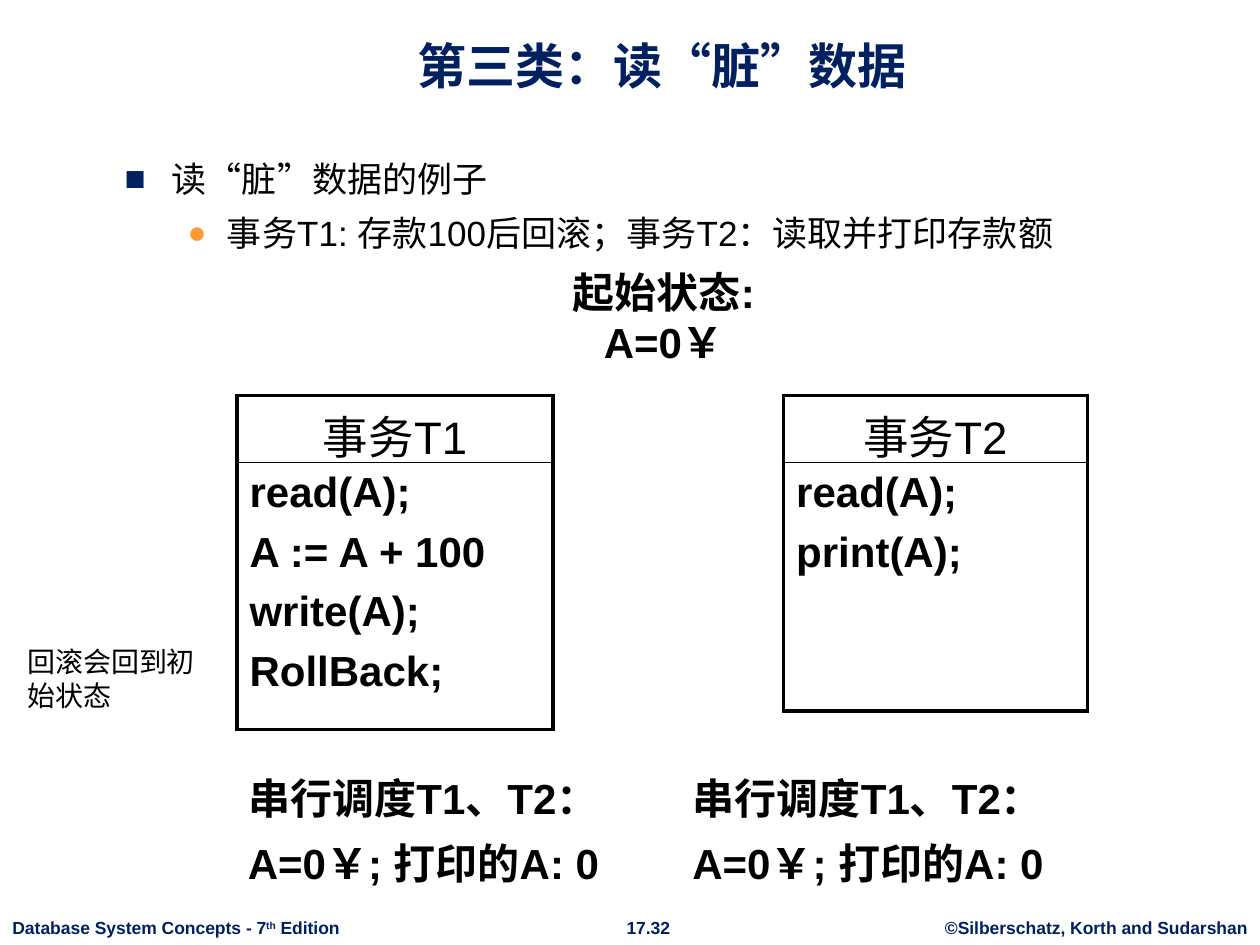
import dataclasses
import typing

import lxml.etree
import pptx
import pptx.dml.color
import pptx.enum.shapes
import pptx.enum.text
import pptx.oxml.ns
import pptx.util

Pt = pptx.util.Pt
RGB = pptx.dml.color.RGBColor
ALIGN = pptx.enum.text.PP_ALIGN
ANCHOR = pptx.enum.text.MSO_ANCHOR
qn = pptx.oxml.ns.qn


# Theme: colours and type sizes
@dataclasses.dataclass(frozen=True)
class Theme:
    font: str = "Arial"
    navy: str = "002060"
    orange: str = "FF9933"
    black: str = "000000"
    white: str = "FFFFFF"
    title: float = 28
    header: float = 26
    code: float = 24
    body: float = 20
    note: float = 16
    footer: float = 10


THEME = Theme()


@dataclasses.dataclass(frozen=True)
class Box:
    left: float
    top: float
    width: float
    height: float

    def lengths(self) -> list:
        return [Pt(v) for v in dataclasses.astuple(self)]


@dataclasses.dataclass(frozen=True)
class Style:
    size: float
    bold: bool = False
    color: str = THEME.black
    align: typing.Any = ALIGN.LEFT
    gap: float = 0


@dataclasses.dataclass(frozen=True)
class Bullet:
    char: str
    color: str
    percent: int
    left: float
    hanging: float


@dataclasses.dataclass(frozen=True)
class Transaction:
    box: Box
    name: str
    steps: list[str]


@dataclasses.dataclass(frozen=True)
class Callout:
    box: Box
    lines: list[str]
    adjustments: tuple
    gap: float = 0


def set_all(obj: typing.Any, values: dict) -> None:
    for name, value in values.items():
        setattr(obj, name, value)


def add_run(p: typing.Any, text: str, style: Style) -> typing.Any:
    r = p.add_run()
    r.text = text
    set_all(r.font, {"name": THEME.font, "size": Pt(style.size), "bold": style.bold})
    r.font.color.rgb = RGB.from_string(style.color)
    return r


def write(tf: typing.Any, lines: list[str], style: Style) -> None:
    for i, line in enumerate(lines):
        p = tf.add_paragraph() if i else tf.paragraphs[0]
        set_all(p, {"alignment": style.align, "space_before": Pt(style.gap if i else 0)})
        add_run(p, line, style)


def add_bullet(p: typing.Any, bullet: Bullet) -> None:
    pPr = p._p.get_or_add_pPr()
    pPr.set("marL", str(Pt(bullet.left)))
    pPr.set("indent", str(-Pt(bullet.hanging)))
    color = lxml.etree.SubElement(pPr, qn("a:buClr"))
    lxml.etree.SubElement(color, qn("a:srgbClr"), val=bullet.color)
    lxml.etree.SubElement(pPr, qn("a:buSzPct"), val=str(bullet.percent * 1000))
    lxml.etree.SubElement(pPr, qn("a:buFont"), typeface=THEME.font)
    lxml.etree.SubElement(pPr, qn("a:buChar"), char=bullet.char)


def place(sp: typing.Any, box: Box) -> None:
    set_all(sp, dict(zip(("left", "top", "width", "height"), box.lengths())))


def add_text(s: typing.Any, box: Box, text: str, style: Style, wrap: bool = False) -> typing.Any:
    tf = s.shapes.add_textbox(*box.lengths()).text_frame
    tf.word_wrap = wrap
    write(tf, [text], style)
    return tf.paragraphs[0]


def set_borders(cell: typing.Any, widths: dict[str, float]) -> None:
    tcPr = cell._tc.get_or_add_tcPr()
    for side, width in widths.items():
        ln = lxml.etree.SubElement(tcPr, qn(f"a:ln{side}"), w=str(Pt(width)))
        fill = lxml.etree.SubElement(ln, qn("a:solidFill"))
        lxml.etree.SubElement(fill, qn("a:srgbClr"), val=THEME.black)


def add_transaction(s: typing.Any, item: Transaction) -> None:
    table = s.shapes.add_table(2, 1, *item.box.lengths()).table
    set_all(table, {"first_row": False, "horz_banding": False})
    header_height = 38.2
    heights = (header_height, item.box.height - header_height)
    contents = (
        ([item.name], Style(THEME.header, align=ALIGN.CENTER)),
        (item.steps, Style(THEME.code, bold=True, gap=7.5)),
    )
    thick, thin = 2.25, 1
    for i, (lines, style) in enumerate(contents):
        table.rows[i].height = Pt(heights[i])
        cell = table.cell(i, 0)
        set_borders(cell, {"L": thick, "R": thick, "T": thin if i else thick, "B": thick if i else thin})
        cell.fill.background()
        write(cell.text_frame, lines, style)


def add_callout(s: typing.Any, item: Callout) -> None:
    kind = pptx.enum.shapes.MSO_SHAPE.ROUNDED_RECTANGULAR_CALLOUT
    sp = s.shapes.add_shape(kind, *item.box.lengths())
    for i, value in enumerate(item.adjustments):
        sp.adjustments[i] = value
    sp.shadow.inherit = False
    sp.fill.solid()
    sp.fill.fore_color.rgb = RGB.from_string(THEME.white)
    sp.line.fill.background()
    set_all(sp.text_frame, {"word_wrap": False, "vertical_anchor": ANCHOR.MIDDLE})
    write(sp.text_frame, item.lines, Style(THEME.code, bold=True, align=ALIGN.CENTER, gap=item.gap))


def main() -> None:
    prs = pptx.Presentation()
    set_all(prs, {"slide_width": Pt(720), "slide_height": Pt(540)})
    s = prs.slides.add_slide(prs.slide_layouts[1])
    title, body = s.placeholders

    # Footer
    footer = Style(THEME.footer, bold=True, color=THEME.navy)
    centred = dataclasses.replace(footer, align=ALIGN.CENTER)
    add_text(s, Box(532.8, 520.6, 187.2, 19.4), "©Silberschatz, Korth and Sudarshan", centred)
    add_text(s, Box(350, 520.6, 41, 19.4), "17.32", centred)
    p = add_text(s, Box(0, 520.6, 202.3, 19.4), "Database System Concepts - 7", footer)
    add_run(p, "th", footer).font._element.set("baseline", "30000")
    add_run(p, " Edition", footer)

    # Title
    place(title, Box(60.5, 9.4, 635.8, 48.2))
    title.text_frame.vertical_anchor = ANCHOR.BOTTOM
    write(title.text_frame, ["第三类：读“脏”数据"], Style(THEME.title, True, THEME.navy, ALIGN.CENTER))

    # Bullet list
    place(body, Box(64, 86.4, 603.4, 386))
    lines = ["读“脏”数据的例子", "事务T1: 存款100后回滚；事务T2：读取并打印存款额"]
    write(body.text_frame, lines, Style(THEME.body, align=ALIGN.JUSTIFY, gap=7))
    bullets = (Bullet("■", THEME.navy, 100, 27, 27), Bullet("●", THEME.orange, 90, 58.5, 22.5))
    for level, (p, bullet) in enumerate(zip(body.text_frame.paragraphs, bullets)):
        p.level = level
        add_bullet(p, bullet)

    # Transactions
    for item in (
        Transaction(Box(447.8, 226, 173.5, 180), "事务T2", ["read(A);", "print(A);"]),
        Transaction(Box(135.4, 226, 180.7, 190.8), "事务T1",
                    ["read(A);", "A := A + 100", "write(A);", "RollBack;"]),
    ):
        add_transaction(s, item)

    # Starting state and results of the schedules
    result = ["串行调度T1、T2：", "A=0￥; 打印的A: 0"]
    for item in (
        Callout(Box(308.9, 144.7, 141, 72.7), ["起始状态:", "A=0￥"], (0.11, -0.44, 0.17)),
        Callout(Box(134, 432, 216, 85), result, (0.03, -0.1, 0.17), 8.4),
        Callout(Box(388, 432, 216, 85), result, (-0.14, -0.05, 0.17), 8.4),
    ):
        add_callout(s, item)

    # Rollback note
    add_text(s, Box(8.6, 365, 111.6, 46), "回滚会回到初始状态", Style(THEME.note), wrap=True)

    prs.save("out.pptx")


if __name__ == "__main__":
    main()
